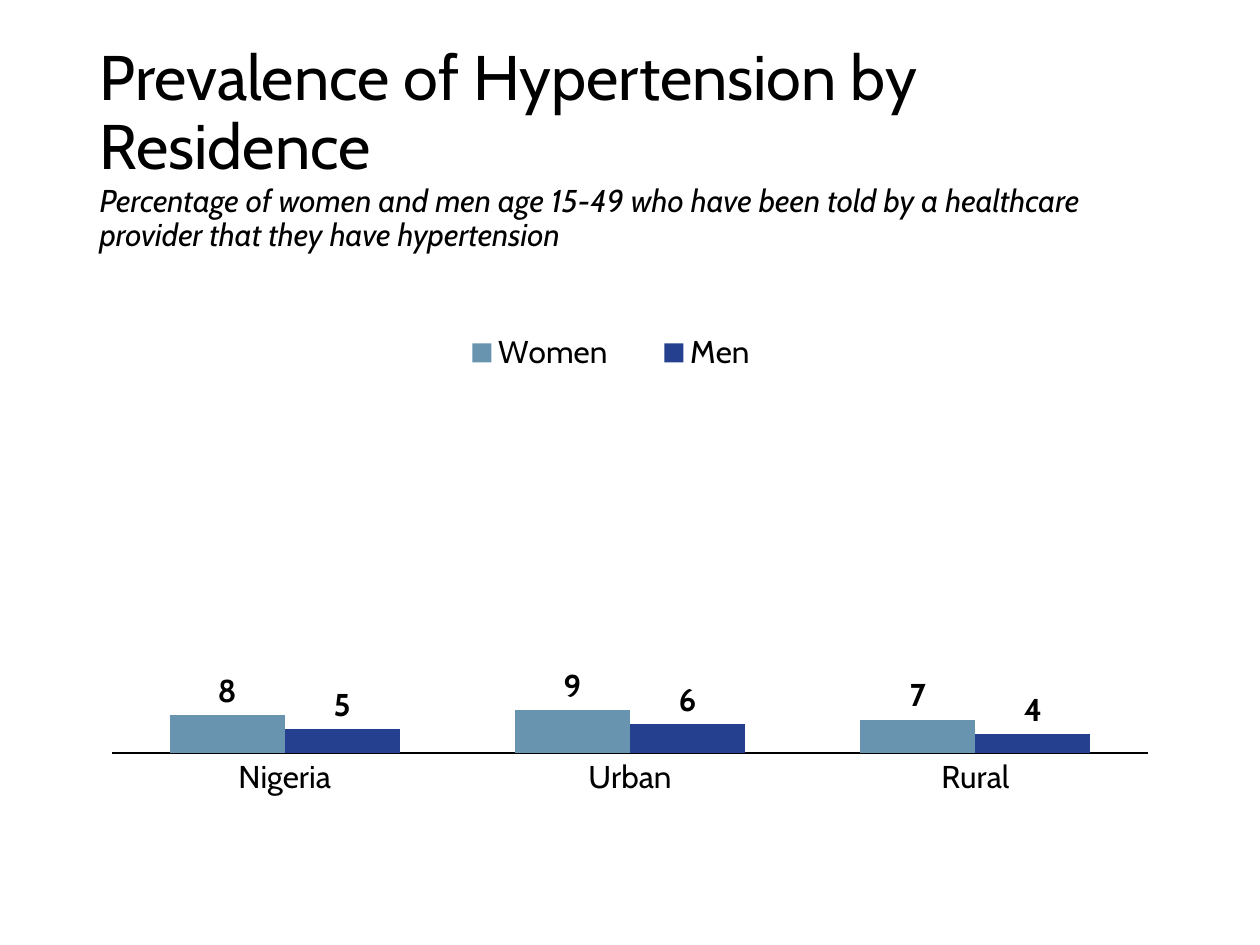
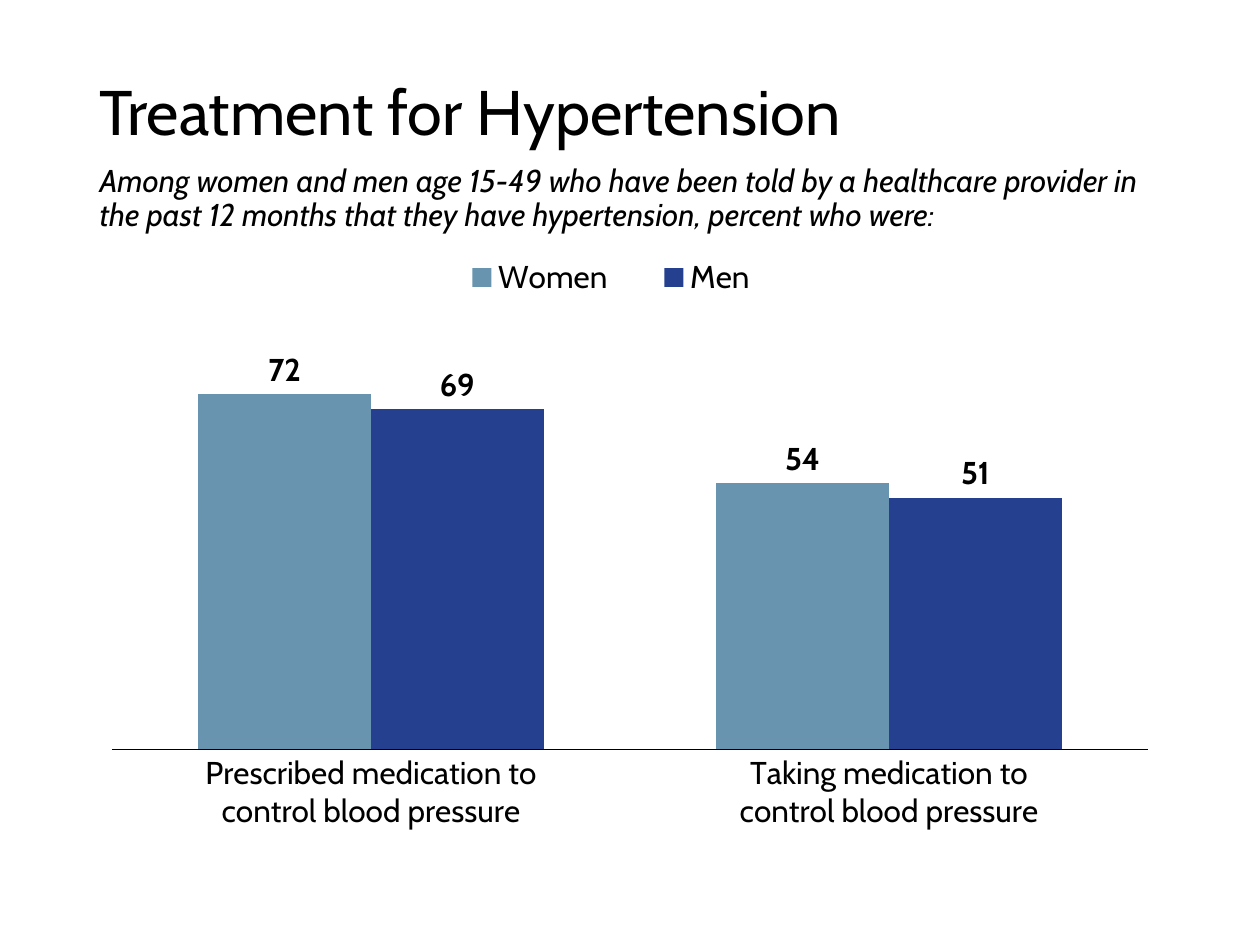
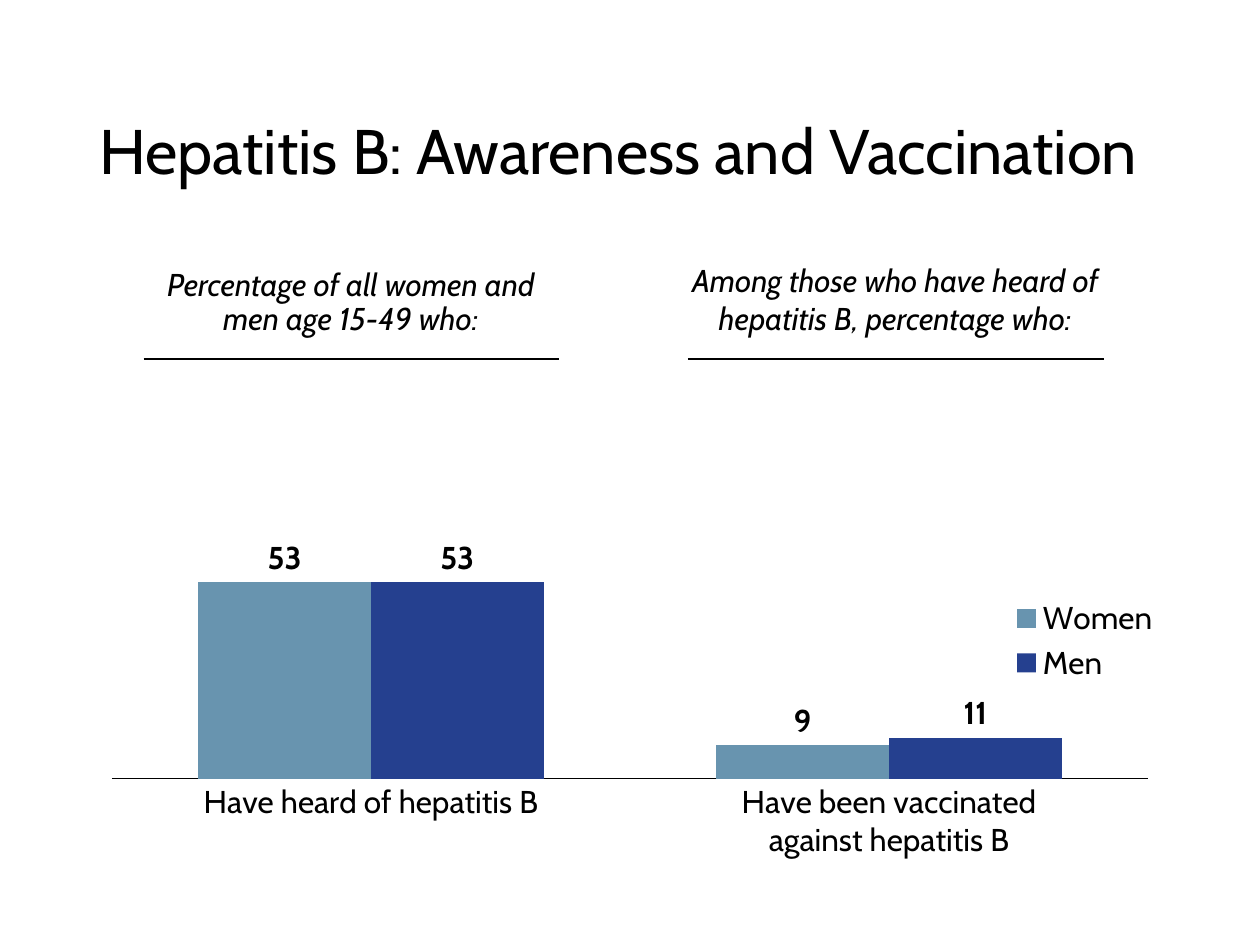
from lxml import etree
from pptx import Presentation
from pptx.chart.data import CategoryChartData
from pptx.dml.color import RGBColor
from pptx.enum.chart import (XL_CHART_TYPE, XL_LABEL_POSITION,
                             XL_LEGEND_POSITION, XL_TICK_LABEL_POSITION,
                             XL_TICK_MARK)
from pptx.enum.shapes import MSO_CONNECTOR
from pptx.enum.text import MSO_ANCHOR, MSO_AUTO_SIZE, PP_ALIGN
from pptx.oxml.ns import qn
from pptx.util import Inches, Pt

BLACK = RGBColor(0x00, 0x00, 0x00)
WOMEN_BLUE = RGBColor(0x68, 0x94, 0xAF)
MEN_BLUE = RGBColor(0x25, 0x40, 0x8F)
FONT = "Cabin"
MARGIN = 0.69
CONTENT_WIDTH = 8.62
TITLE_HEIGHT = 1.02
LEGEND_LEFT, LEGEND_WIDTH, LEGEND_HEIGHT = 3.38, 2.94, 0.5


def format_font(font, size=18, bold=False, italic=False):
    font.name = FONT
    font.size = Pt(size)
    font.bold = bold
    font.italic = italic
    font.color.rgb = BLACK


def write_text(frame, text, align=PP_ALIGN.LEFT, anchor=MSO_ANCHOR.TOP,
               spacing=None, before=None, **font_format):
    frame.word_wrap = True
    frame.auto_size = MSO_AUTO_SIZE.NONE
    frame.vertical_anchor = anchor
    paragraph = frame.paragraphs[0]
    paragraph.alignment = align
    paragraph.line_spacing = spacing
    paragraph.space_before = before
    run = paragraph.add_run()
    run.text = text
    format_font(run.font, **font_format)
    return paragraph


def make_layout(left, top, width, height, inner=False):
    layout = etree.Element(qn("c:layout"))
    manual = etree.SubElement(layout, qn("c:manualLayout"))
    settings = [("layoutTarget", "inner")] if inner else []
    settings += [("xMode", "edge"), ("yMode", "edge"), ("x", left),
                 ("y", top), ("w", width), ("h", height)]
    for tag, value in settings:
        etree.SubElement(manual, qn(f"c:{tag}")).set("val", str(value))
    return layout


def drop_layout(parent):
    for layout in parent.findall(qn("c:layout")):
        parent.remove(layout)


class SurveyDeck:
    def __init__(self):
        self.presentation = Presentation()
        self.presentation.slide_width = Inches(10)
        self.presentation.slide_height = Inches(7.5)
        self.slide = None

    def place(self, shape, left, top, width, height):
        shape.left, shape.top = Inches(left), Inches(top)
        shape.width, shape.height = Inches(width), Inches(height)

    def start_slide(self, heading, top=0.4, width=CONTENT_WIDTH):
        layout = self.presentation.slide_layouts[1]
        self.slide = self.presentation.slides.add_slide(layout)
        title = self.slide.shapes.title
        self.place(title, MARGIN, top, width, TITLE_HEIGHT)
        write_text(title.text_frame, heading, size=36, spacing=0.9,
                   anchor=MSO_ANCHOR.MIDDLE)

    def add_subtitle(self, text, top, left=MARGIN, width=CONTENT_WIDTH,
                     align=PP_ALIGN.LEFT):
        subtitle = self.slide.placeholders[1]
        self.place(subtitle, left, top, width, 0.67)
        paragraph = write_text(subtitle.text_frame, text, align=align,
                               spacing=0.9, before=Pt(10), italic=True)
        properties = paragraph._p.get_or_add_pPr()
        properties.set("marL", "0")
        properties.set("indent", "0")
        etree.SubElement(properties, qn("a:buNone"))

    def add_caption(self, text, left, top, width, height):
        caption = self.slide.shapes.add_textbox(
            Inches(left), Inches(top), Inches(width), Inches(height))
        write_text(caption.text_frame, text, align=PP_ALIGN.CENTER,
                   italic=True)

    def add_rule(self, left, top, width):
        rule = self.slide.shapes.add_connector(
            MSO_CONNECTOR.STRAIGHT, Inches(left), Inches(top),
            Inches(left + width), Inches(top))
        rule.line.color.rgb = BLACK
        rule.line.width = Pt(1.5)
        etree.SubElement(rule._element.spPr, qn("a:effectLst"))

    def add_comparison(self, groups, women, men, top, height, legend_middle,
                       plot_top=0.019, plot_height=0.725):
        data = CategoryChartData(number_format="0")
        data.categories = groups
        data.add_series("Women", women)
        data.add_series("Men", men)
        chart = self.slide.shapes.add_chart(
            XL_CHART_TYPE.COLUMN_CLUSTERED, Inches(MARGIN), Inches(top),
            Inches(CONTENT_WIDTH), Inches(height), data).chart
        chart.has_title = False
        format_font(chart.font)
        self.format_axes(chart)
        self.format_columns(chart.plots[0])

        plot_area = chart.element.find(".//" + qn("c:plotArea"))
        drop_layout(plot_area)
        plot_area.insert(0, make_layout(0.023, plot_top, 0.954, plot_height,
                                        inner=True))

        chart.has_legend = True
        chart.legend.position = XL_LEGEND_POSITION.RIGHT
        chart.legend.include_in_layout = False
        format_font(chart.legend.font)
        legend = chart.element.find(".//" + qn("c:legend"))
        drop_layout(legend)
        legend_top = legend_middle - LEGEND_HEIGHT / 2
        legend.find(qn("c:legendPos")).addnext(make_layout(
            round((LEGEND_LEFT - MARGIN) / CONTENT_WIDTH, 3),
            round((legend_top - top) / height, 3),
            round(LEGEND_WIDTH / CONTENT_WIDTH, 3),
            round(LEGEND_HEIGHT / height, 3)))

    def format_axes(self, chart):
        percent = chart.value_axis
        percent.minimum_scale = 0
        percent.maximum_scale = 100
        percent.has_major_gridlines = False
        percent.visible = False
        groups = chart.category_axis
        groups.major_tick_mark = XL_TICK_MARK.NONE
        groups.minor_tick_mark = XL_TICK_MARK.NONE
        groups.tick_label_position = XL_TICK_LABEL_POSITION.NEXT_TO_AXIS
        groups.format.line.color.rgb = BLACK
        groups.format.line.width = Pt(0.75)
        format_font(groups.tick_labels.font)

    def format_columns(self, plot):
        plot.gap_width = 100
        plot.overlap = 0
        plot.vary_by_categories = False
        for series, color in zip(plot.series, (WOMEN_BLUE, MEN_BLUE)):
            series.format.fill.solid()
            series.format.fill.fore_color.rgb = color
            labels = series.data_labels
            labels.show_value = True
            labels.position = XL_LABEL_POSITION.OUTSIDE_END
            format_font(labels.font, bold=True)


def main():
    deck = SurveyDeck()

    deck.start_slide("Prevalence of Hypertension by Residence", width=8.89)
    deck.add_subtitle("Percentage of women and men age 15-49 who have been "
                      "told by a healthcare provider that they have "
                      "hypertension", top=1.42)
    deck.add_comparison(["Nigeria", "Urban", "Rural"], [8, 9, 7], [5, 6, 4],
                        top=2.08, height=5.24, legend_middle=2.8)

    deck.start_slide("Treatment for Hypertension")
    deck.add_subtitle("Among women and men age 15-49 who have been told by a "
                      "healthcare provider in the past 12 months that they "
                      "have hypertension, percent who were:", top=1.26)
    deck.add_comparison(["Prescribed medication to\ncontrol blood pressure",
                         "Taking medication to\ncontrol blood pressure"],
                        [72, 54], [69, 51],
                        top=1.93, height=5.4, legend_middle=2.2)

    deck.start_slide("Hepatitis B: Awareness and Vaccination", top=0.71)
    deck.add_subtitle("Percentage of all women and men age 15-49 who:",
                      top=2.09, left=1.06, width=3.45,
                      align=PP_ALIGN.CENTER)
    deck.add_comparison(["Have heard of hepatitis B",
                         "Have been vaccinated\nagainst hepatitis B"],
                        [53, 9], [53, 11],
                        top=2.85, height=4.47, legend_middle=3.08,
                        plot_top=0.088, plot_height=0.657)
    deck.add_caption("Among those who have heard of hepatitis B, percentage "
                     "who:", 5.32, 2.02, 3.57, 0.71)
    for left in (1.14, 5.46):
        deck.add_rule(left, 2.85, 3.3)

    deck.presentation.save("out.pptx")


if __name__ == "__main__":
    main()
